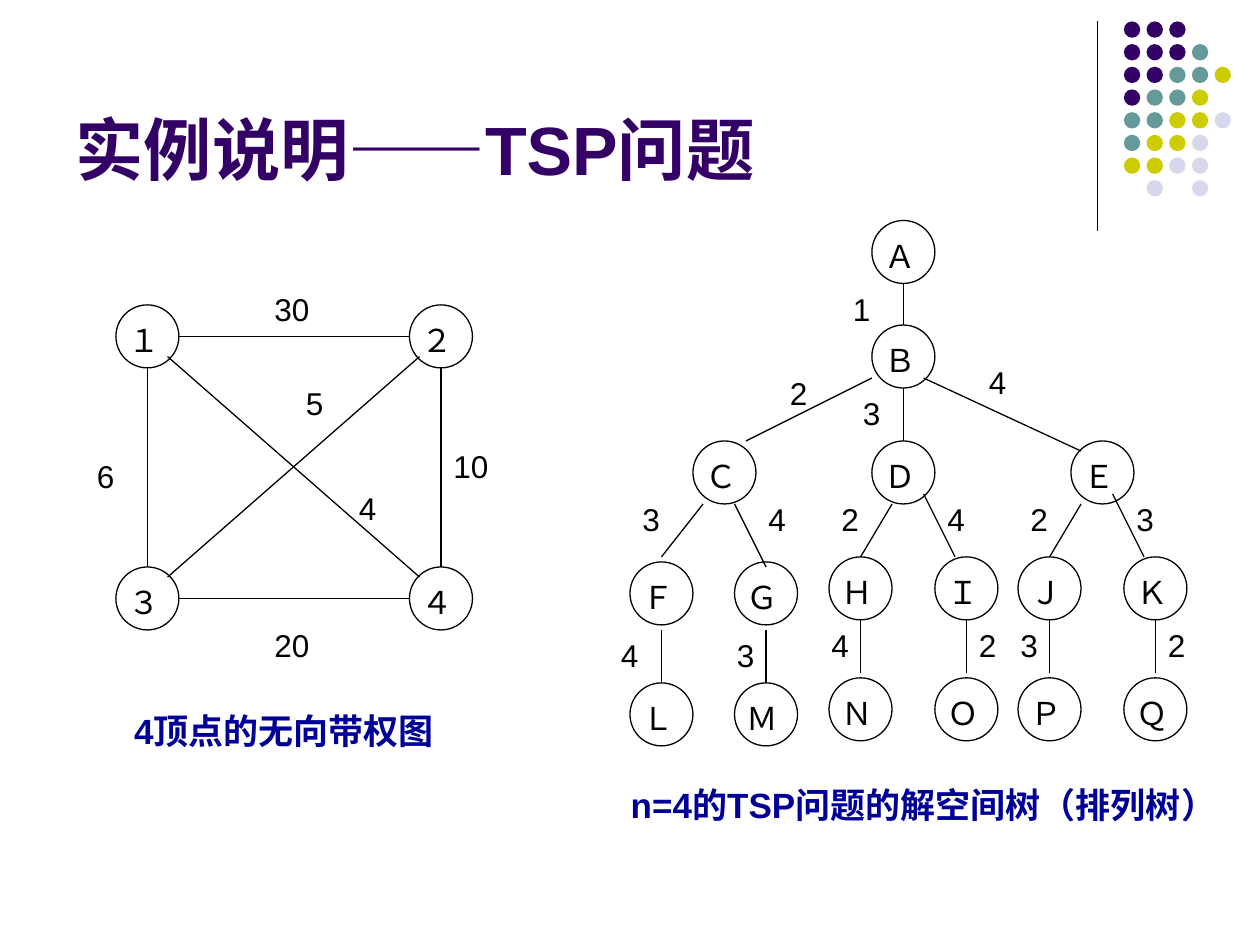
from dataclasses import dataclass
from lxml.etree import SubElement
from pptx import Presentation
from pptx.dml.color import RGBColor
from pptx.enum.shapes import MSO_CONNECTOR, MSO_SHAPE
from pptx.enum.text import MSO_ANCHOR, MSO_AUTO_SIZE, PP_ALIGN
from pptx.oxml.ns import qn
from pptx.slide import Slide
from pptx.util import Inches, Pt

COLORS = {
    "ink": "000000", "title": "330066", "caption": "000099",
    "P": "330066", "T": "669999", "Y": "CCCC00", "L": "D8D8EC",
}
DOT_ROWS = ["PPP", "PPPT", "PPTTY", "PTTY", "TTYYL", "TYYL", "YYLL", " L L"]
NODE = 0.5

GRAPH_NODES = [("１", 0.92, 2.42), ("３", 0.92, 4.5), ("２", 3.25, 2.42), ("４", 3.25, 4.5)]
GRAPH_EDGES = [
    (1.42, 4.75, 3.25, 4.75), (1.17, 2.92, 1.17, 4.5), (1.42, 2.67, 3.25, 2.67),
    (3.5, 2.92, 3.5, 4.5), (1.33, 2.83, 3.33, 4.58), (1.33, 4.58, 3.33, 2.83),
]
GRAPH_WEIGHTS = [
    ("20", 2.08, 4.92, 0.5), ("30", 2.08, 2.25, 0.5), ("10", 3.5, 3.5, 0.75),
    ("6", 0.67, 3.58, 0.5), ("5", 2.33, 3, 0.5), ("4", 2.75, 3.83, 0.33),
]
TREE_NODES = [
    ("Ａ", 6.92, 1.75), ("Ｂ", 6.92, 2.58),
    ("Ｃ", 5.5, 3.5), ("Ｄ", 6.92, 3.5), ("Ｅ", 8.5, 3.5),
]
TREE_EDGES = [
    (7.17, 2.25, 7.17, 2.58), (7.17, 3.08, 7.17, 3.5),
    (6.92, 3, 5.92, 3.5), (8.58, 3.58, 7.33, 3),
    (7.08, 4, 6.83, 4.42), (5.58, 4, 5.25, 4.42), (8.58, 4, 8.33, 4.42),
    (9.08, 4.42, 8.83, 3.92), (7.58, 4.42, 7.33, 3.92), (6.08, 4.5, 5.83, 4),
]
TREE_WEIGHTS = [
    ("1", 6.67, 2.25), ("3", 6.75, 3.08), ("4", 7.75, 2.83), ("2", 6.17, 2.92),
    ("3", 5, 3.92), ("4", 6, 3.92), ("2", 6.58, 3.92),
    ("4", 7.42, 3.92), ("2", 8.08, 3.92), ("3", 8.92, 3.92),
    ("4", 4.83, 5), ("3", 5.75, 5), ("4", 6.5, 4.92),
    ("2", 7.67, 4.92), ("3", 8, 4.92), ("2", 9.17, 4.92),
]
BRANCHES = [
    ("Ｆ", "Ｌ", 5, 4.46, 5), ("Ｇ", "Ｍ", 5.83, 4.46, 5),
    ("Ｈ", "Ｎ", 6.58, 4.42, 4.92), ("Ｉ", "Ｏ", 7.42, 4.42, 4.92),
    ("Ｊ", "Ｐ", 8.08, 4.42, 4.92), ("Ｋ", "Ｑ", 8.92, 4.42, 4.92),
]


@dataclass
class Sketch:
    """Draws graph elements on one slide in a shared style."""
    page: Slide
    font: str = "Arial"
    stroke: float = 0.75

    def color(self, name):
        return RGBColor.from_string(COLORS[name])

    def style(self, paragraph, size, color, bold=False):
        paragraph.font.name = self.font
        paragraph.font.size = Pt(size)
        paragraph.font.bold = bold
        paragraph.font.color.rgb = self.color(color)

    def title(self, text, left, top, width, height):
        box = self.page.shapes.title
        box.left, box.top, box.width, box.height = map(Inches, (left, top, width, height))
        frame = box.text_frame
        frame.text = text
        frame.auto_size = MSO_AUTO_SIZE.NONE
        frame.vertical_anchor = MSO_ANCHOR.BOTTOM
        frame.paragraphs[0].alignment = PP_ALIGN.LEFT
        self.style(frame.paragraphs[0], 39, "title", True)

    def text(self, text, left, top, width=0.33, height=0.4):
        box = self.page.shapes.add_textbox(*map(Inches, (left, top, width, height)))
        frame = box.text_frame
        frame.word_wrap = True
        frame.auto_size = MSO_AUTO_SIZE.SHAPE_TO_FIT_TEXT
        paragraph = frame.paragraphs[0]
        paragraph.text = text
        self.style(paragraph, 18, "ink")
        return paragraph

    def caption(self, text, left, top, width):
        paragraph = self.text(text, left, top, width, 0.43)
        paragraph.alignment = PP_ALIGN.CENTER
        self.style(paragraph, 20, "caption", True)

    def circle(self, left, top, size, fill=None):
        shape = self.page.shapes.add_shape(
            MSO_SHAPE.OVAL, *map(Inches, (left, top, size, size)))
        shape.shadow.inherit = False
        if fill:
            shape.fill.solid()
            shape.fill.fore_color.rgb = self.color(fill)
            shape.line.fill.background()
        else:
            shape.fill.background()
            shape.line.color.rgb = self.color("ink")
            shape.line.width = Pt(self.stroke)

    def node(self, name, left, top):
        self.circle(left, top, NODE)
        self.text(name, left, top + 0.08, 0.42)

    def line(self, *ends):
        connector = self.page.shapes.add_connector(
            MSO_CONNECTOR.STRAIGHT, *map(Inches, ends))
        connector.line.color.rgb = self.color("ink")
        connector.line.width = Pt(self.stroke)
        SubElement(connector._element.spPr, qn("a:effectLst"))

    def dots(self, left, top, pitch, size):
        for row, colors in enumerate(DOT_ROWS):
            for column, color in enumerate(colors):
                if color != " ":
                    self.circle(left + column * pitch, top + row * pitch, size, color)


def main():
    deck = Presentation()
    deck.slide_width, deck.slide_height = Inches(10), Inches(7.5)
    sketch = Sketch(deck.slides.add_slide(deck.slide_layouts[5]))

    sketch.line(8.71, 0.17, 8.71, 1.83)
    sketch.dots(8.92, 0.17, 0.18, 0.13)
    sketch.title("实例说明——TSP问题", 0.5, 0.13, 8.25, 1.42)

    for node in GRAPH_NODES + TREE_NODES:
        sketch.node(*node)
    for edge in GRAPH_EDGES + TREE_EDGES:
        sketch.line(*edge)
    for child, leaf, left, top, stem in BRANCHES:
        sketch.node(child, left, top)
        sketch.node(leaf, left, top + 0.96)
        sketch.line(left + NODE / 2, stem, left + NODE / 2, stem + 0.42)
    for weight in GRAPH_WEIGHTS + TREE_WEIGHTS:
        sketch.text(*weight)

    sketch.caption("4顶点的无向带权图", 0.67, 5.58, 3.17)
    sketch.caption("n=4的TSP问题的解空间树（排列树）", 4.83, 6.17, 5)
    deck.save("out.pptx")


if __name__ == "__main__":
    main()
